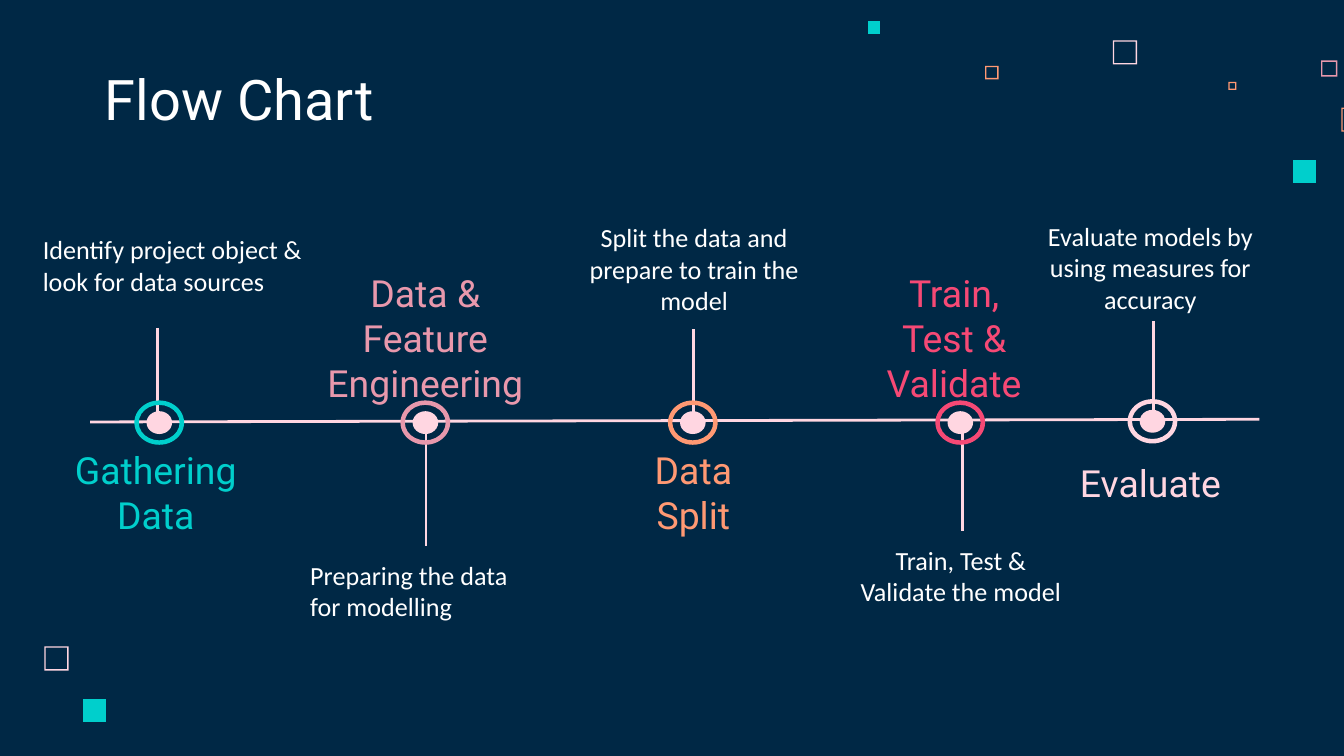
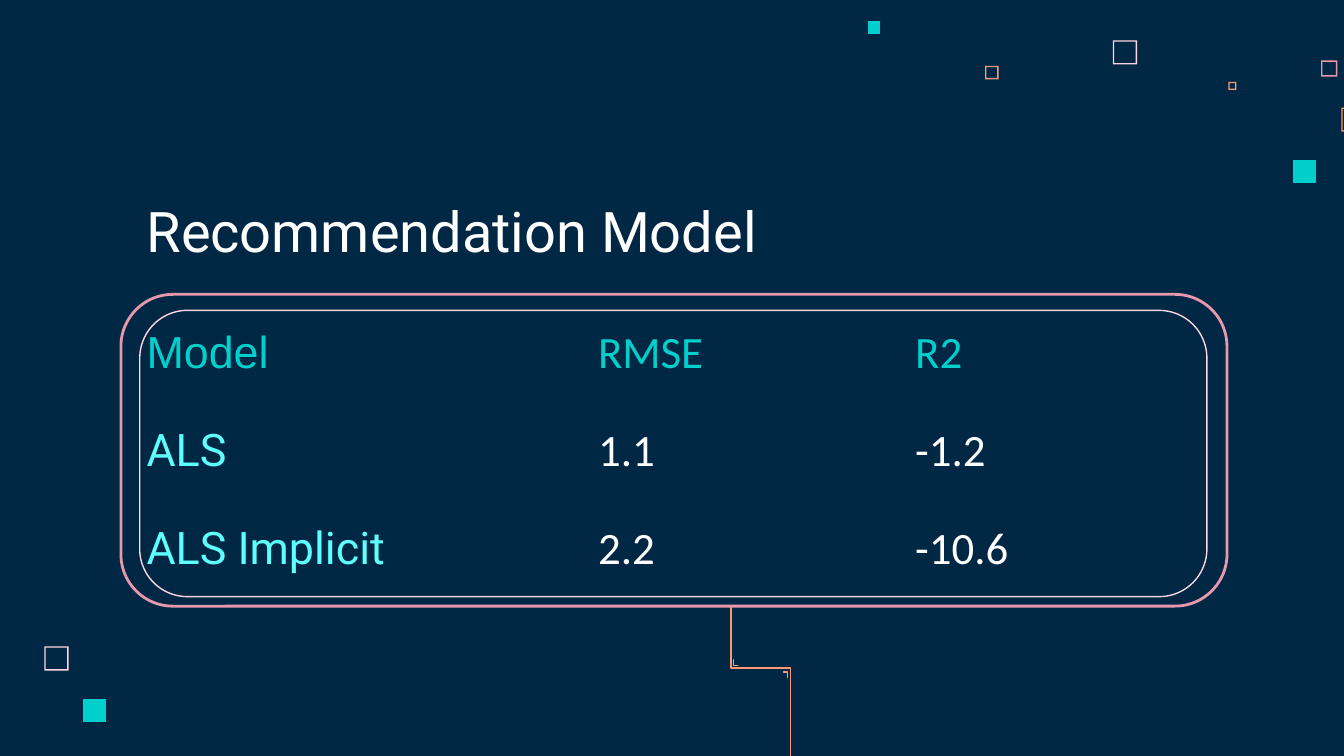
from dataclasses import dataclass

from lxml.etree import SubElement
from pptx import Presentation
from pptx.dml.color import RGBColor
from pptx.enum.shapes import MSO_CONNECTOR, MSO_SHAPE
from pptx.enum.text import MSO_ANCHOR, MSO_AUTO_SIZE, PP_ALIGN
from pptx.oxml.ns import qn
from pptx.util import Emu, Pt

PX = 9144  # EMU per px: 100 px to the inch


@dataclass(frozen=True)
class Theme:
    navy: str = "002845"
    white: str = "FFFFFF"
    blush: str = "FFD6E1"
    rose: str = "E898AC"
    orange: str = "FF9973"
    teal: str = "00CFCC"
    aqua: str = "5EFFFD"
    pink: str = "F64975"
    heading_font: str = "Roboto"
    body_font: str = "Calibri"
    header_font: str = "Arial"
    title_size: int = 30
    table_size: int = 24
    step_size: int = 20
    note_size: int = 14
    line: float = 1.5
    thin_line: float = 0.75


@dataclass(frozen=True)
class Step:
    name: str
    name_box: tuple
    colour: str
    ring: tuple   # left, top
    stem: tuple   # x, top, bottom
    note: str
    note_box: tuple
    align: PP_ALIGN = PP_ALIGN.CENTER
    anchor: MSO_ANCHOR = MSO_ANCHOR.TOP


THEME = Theme()

# left, top, side, border (0 for a solid square), colour
SQUARES = [
    (828, 30, 18, 1, THEME.blush),
    (983, 45, 12, 1, THEME.rose),
    (914, 61, 6, 1, THEME.orange),
    (998, 80, 18, 1, THEME.orange),
    (962, 119, 17, 0, THEME.teal),
    (733, 49, 10, 1, THEME.orange),
    (646, 16, 9, 0, THEME.teal),
    (33, 481, 18, 1, THEME.blush),
    (62, 520, 17, 0, THEME.teal),
]

FLOW_TITLE = ("Flow Chart", (68, 45, 517, 63))
AXIS = (67, 314, 937, 312)
RING_SIZE = (37, 33)
DOT_SIZE = (19, 17)
STEPS = [
    Step("Gathering Data", (41, 347, 150, 38), THEME.teal,
         (100, 298), (117, 244, 309),
         "Identify project object & look for data sources",
         (22, 164, 217, 57), align=PP_ALIGN.LEFT),
    Step("Data & Feature Engineering", (221, 211, 191, 80), THEME.rose,
         (298, 298), (317, 320, 406),
         "Preparing the data for modelling",
         (221, 406, 191, 51), align=PP_ALIGN.LEFT),
    Step("Data Split", (453, 347, 126, 38), THEME.orange,
         (497, 298), (516, 245, 309),
         "Split the data and prepare to train the model",
         (413, 159, 207, 86), anchor=MSO_ANCHOR.BOTTOM),
    Step("Train, Test & Validate", (637, 211, 146, 80), THEME.pink,
         (696, 298), (716, 320, 395),
         "Train, Test & Validate the model",
         (623, 395, 184, 87)),
    Step("Evaluate", (783, 319, 146, 80), THEME.blush,
         (839, 297), (858, 239, 309),
         "Evaluate models by using measures for accuracy",
         (764, 154, 184, 57)),
]

MODEL_TITLE = ("Recommendation Model", (99, 143, 517, 63))
MODEL_ROWS = [
    ("Model", "RMSE", "R2"),
    ("ALS", "1.1", "-1.2"),
    ("ALS Implicit", "2.2", "-10.6"),
]
TABLE_AT = (99, 226)
COLUMN_WIDTHS = (336, 236, 251)
ROW_HEIGHT = 73
NO_TABLE_STYLE = "{2D5ABB26-0587-4C30-8999-92F81FD0307C}"
PANELS = [
    ((90, 219, 823, 232), THEME.rose, THEME.line),
    ((104, 231, 794, 213), THEME.blush, THEME.thin_line),
]
WIRES = [
    [(544, 452), (544, 497), (588, 497), (588, 593)],
    [(583, 500), (586, 500), (586, 504)],
    [(546, 491), (546, 495), (549, 495)],
]


def px(*lengths):
    return [Emu(length * PX) for length in lengths]


def rgb(colour):
    return RGBColor.from_string(colour)


def paint(shape, fill=None, line=None, width=THEME.thin_line):
    shape.shadow.inherit = False
    if fill:
        shape.fill.solid()
        shape.fill.fore_color.rgb = rgb(fill)
    else:
        shape.fill.background()
    if line:
        shape.line.color.rgb = rgb(line)
        shape.line.width = Pt(width)
    else:
        shape.line.fill.background()


def write(frame, text, font, size, colour, align):
    para = frame.paragraphs[0]
    para.alignment = align
    span = para.add_run()
    span.text = text
    span.font.name = font
    span.font.size = Pt(size)
    span.font.bold = False
    span.font.color.rgb = rgb(colour)


def set_frame(frame, anchor):
    """Wrap the text inside equal margins, without resizing."""
    frame.word_wrap = True
    frame.auto_size = MSO_AUTO_SIZE.NONE
    frame.vertical_anchor = anchor
    frame.margin_left, frame.margin_top, frame.margin_right, frame.margin_bottom = px(10, 10, 10, 10)


def add_label(slide, text, place, font, size, colour, align, anchor):
    box = slide.shapes.add_textbox(*px(*place))
    set_frame(box.text_frame, anchor)
    write(box.text_frame, text, font, size, colour, align)


def add_line(slide, ends):
    line = slide.shapes.add_connector(MSO_CONNECTOR.STRAIGHT, *px(*ends))
    line.line.color.rgb = rgb(THEME.blush)
    line.line.width = Pt(THEME.line)
    SubElement(line.element.spPr, qn("a:effectLst"))


def add_outline(shapes, contours):
    """Build one closed freeform from one or more contours."""
    builder = shapes.build_freeform(*contours[0][0], scale=PX)
    for index, points in enumerate(contours):
        if index:
            builder.move_to(*points[0])
        builder.add_line_segments(points[1:], close=True)
    return builder.convert_to_shape()


def square_corners(left, top, side):
    right, bottom = left + side, top + side
    return [(left, top), (left, bottom), (right, bottom), (right, top)]


def add_slide(deck, layout, title, place):
    slide = deck.slides.add_slide(layout)
    heading = slide.shapes.title
    heading.left, heading.top, heading.width, heading.height = px(*place)
    set_frame(heading.text_frame, MSO_ANCHOR.BOTTOM)
    write(heading.text_frame, title, THEME.heading_font, THEME.title_size, THEME.white, PP_ALIGN.LEFT)
    return slide


def decorate_layout(layout, slide):
    """Give the layout its background and squares, drawn on a slide and moved."""
    layout.background.fill.solid()
    layout.background.fill.fore_color.rgb = rgb(THEME.navy)
    for left, top, side, border, colour in SQUARES:
        contours = [square_corners(left, top, side)]
        if border:
            inner = square_corners(left + border, top + border, side - 2 * border)
            contours.append(inner[::-1])
        square = add_outline(slide.shapes, contours)
        paint(square, fill=colour)
        layout.shapes.element.append(square.element)


def add_node(slide, step):
    node = slide.shapes.add_group_shape()
    left, top = step.ring
    dot = node.shapes.add_shape(MSO_SHAPE.OVAL, *px(left + 9, top + 8, *DOT_SIZE))
    paint(dot, fill=THEME.blush)
    ring = node.shapes.add_shape(MSO_SHAPE.DONUT, *px(left, top, *RING_SIZE))
    ring.adjustments[0] = 0.1
    paint(ring, fill=step.colour)


def fill_flow(slide):
    for step in STEPS:
        x, top, bottom = step.stem
        add_line(slide, (x, top, x, bottom))
    add_line(slide, AXIS)
    for step in STEPS:
        add_node(slide, step)
        add_label(slide, step.name, step.name_box, THEME.heading_font, THEME.step_size,
                  step.colour, PP_ALIGN.CENTER, MSO_ANCHOR.MIDDLE)
        add_label(slide, step.note, step.note_box, THEME.body_font, THEME.note_size,
                  THEME.white, step.align, step.anchor)


def cell_style(row, column):
    if row == 0:
        return (THEME.body_font if column else THEME.header_font), THEME.teal
    return (THEME.body_font, THEME.white) if column else (THEME.heading_font, THEME.aqua)


def add_model_table(slide):
    size = sum(COLUMN_WIDTHS), ROW_HEIGHT * len(MODEL_ROWS)
    holder = slide.shapes.add_table(len(MODEL_ROWS), len(COLUMN_WIDTHS), *px(*TABLE_AT, *size))
    holder.element.find(".//" + qn("a:tableStyleId")).text = NO_TABLE_STYLE
    table = holder.table
    table.first_row = table.horz_banding = False
    for column, width in zip(table.columns, px(*COLUMN_WIDTHS)):
        column.width = width
    for r, values in enumerate(MODEL_ROWS):
        for c, value in enumerate(values):
            cell = table.cell(r, c)
            cell.fill.background()
            cell.vertical_anchor = MSO_ANCHOR.MIDDLE
            cell.margin_left, cell.margin_top, cell.margin_right, cell.margin_bottom = px(10, 10, 10, 10)
            font, colour = cell_style(r, c)
            write(cell.text_frame, value, font, THEME.table_size, colour, PP_ALIGN.JUSTIFY)


def fill_model(slide):
    for place, colour, width in PANELS:
        panel = slide.shapes.add_shape(MSO_SHAPE.ROUNDED_RECTANGLE, *px(*place))
        paint(panel, line=colour, width=width)
    add_model_table(slide)
    wiring = slide.shapes.add_group_shape()
    for points in WIRES:
        there_and_back = points + points[-2:0:-1]
        wire = add_outline(wiring.shapes, [there_and_back])
        paint(wire, fill=THEME.orange, line=THEME.orange)


def main():
    deck = Presentation()
    deck.slide_width, deck.slide_height = Emu(1000 * PX), Emu(1125 * PX // 2)
    layout = deck.slide_layouts.get_by_name("Title Only")
    flow = add_slide(deck, layout, *FLOW_TITLE)
    decorate_layout(layout, flow)
    fill_flow(flow)
    fill_model(add_slide(deck, layout, *MODEL_TITLE))
    deck.save("out.pptx")


if __name__ == "__main__":
    main()
